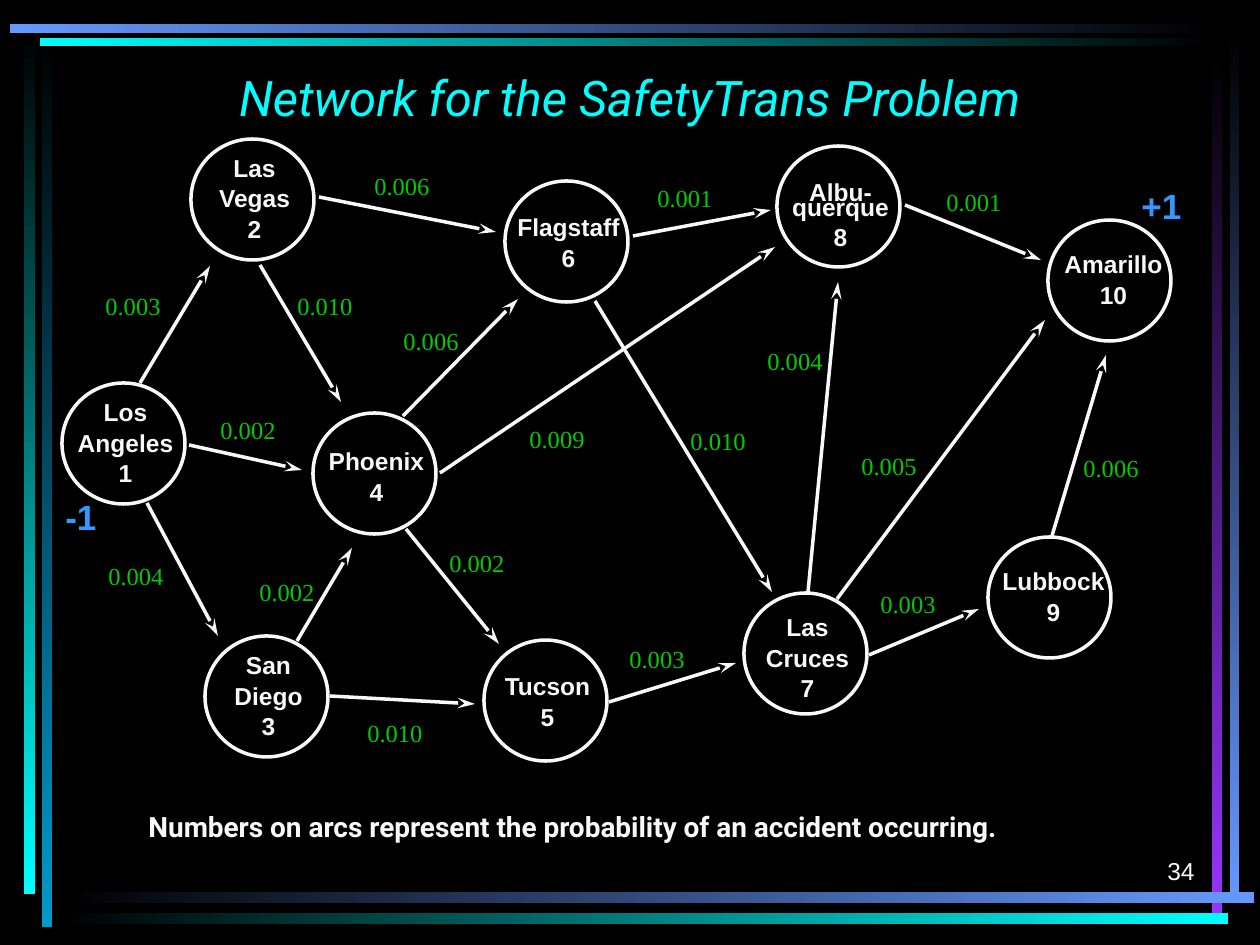
import lxml.etree
import pptx
import pptx.dml.color
import pptx.enum.shapes
import pptx.enum.text
import pptx.oxml.ns
import pptx.util

RGBColor = pptx.dml.color.RGBColor
ALIGN = pptx.enum.text.PP_ALIGN
ANCHOR = pptx.enum.text.MSO_ANCHOR
SHAPE = pptx.enum.shapes.MSO_SHAPE

BLACK = RGBColor(0x00, 0x00, 0x00)
WHITE = RGBColor(0xF8, 0xF8, 0xF8)
CYAN = RGBColor(0x00, 0xFF, 0xFF)
TEAL = RGBColor(0x00, 0x99, 0xCC)
PERIWINKLE = RGBColor(0x66, 0x99, 0xFF)
PURPLE = RGBColor(0x99, 0x33, 0xFF)
GREEN = RGBColor(0x00, 0xCC, 0x00)
BLUE = RGBColor(0x33, 0x99, 0xFF)

PIXELS_PER_INCH = 126
DOWN, RIGHT = 270, 0

FRAME_BARS = [
    (42, 35, 10, 892, BLACK, TEAL, DOWN),
    (24, 32, 11, 862, BLACK, CYAN, DOWN),
    (1230, 30, 9, 873, BLACK, PERIWINKLE, DOWN),
    (1212, 53, 10, 860, BLACK, PURPLE, DOWN),
    (57, 892, 1197, 11, BLACK, PERIWINKLE, RIGHT),
    (57, 913, 1171, 11, BLACK, CYAN, RIGHT),
    (40, 38, 1174, 8, CYAN, BLACK, RIGHT),
    (10, 24, 1205, 9, PERIWINKLE, BLACK, RIGHT),
]

CITIES = [
    (["Las", "Vegas", "2"], (191, 139), (189, 160)),
    (["Los", "Angeles", "1"], (62, 383), (60, 404)),
    (["San", "Diego", "3"], (205, 636), (203, 657)),
    (["Phoenix", "4"], (313, 413), (311, 453)),
    (["Flagstaff", "6"], (505, 181), (503, 219)),
    (["Tucson", "5"], (484, 640), (482, 678)),
    (["Albu-querque", "8"], (777, 146), (775, 184)),
    (["Las", "Cruces", "7"], (744, 593), (742, 619)),
    (["Lubbock", "9"], (988, 537), (988, 573)),
    (["Amarillo", "10"], (1048, 220), (1048, 256)),
]

ARCS = [
    ("0.003", (140, 383), (210, 266), (93, 285)),
    ("0.002", (189, 445), (302, 470), (208, 409)),
    ("0.004", (147, 503), (218, 636), (96, 555)),
    ("0.010", (260, 265), (341, 402), (285, 285)),
    ("0.006", (319, 197), (496, 232), (362, 165)),
    ("0.001", (633, 236), (771, 210), (645, 177)),
    ("0.006", (403, 416), (518, 299), (391, 320)),
    ("0.009", (440, 473), (775, 247), (517, 418)),
    ("0.002", (297, 641), (352, 548), (247, 571)),
    ("0.010", (330, 696), (475, 704), (355, 712)),
    ("0.002", (406, 529), (499, 644), (437, 542)),
    ("0.010", (595, 301), (772, 592), (678, 420)),
    ("0.003", (609, 702), (736, 663), (617, 638)),
    ("0.004", (808, 592), (838, 282), (755, 340)),
    ("0.001", (905, 205), (1041, 260), (934, 181)),
    ("0.005", (837, 599), (1045, 320), (849, 445)),
    ("0.003", (869, 655), (979, 609), (868, 583)),
    ("0.006", (1052, 536), (1106, 355), (1071, 447)),
]


def px(*lengths):
    return [pptx.util.Inches(length / PIXELS_PER_INCH) for length in lengths]


class NetworkSlide:
    line_width = pptx.util.Pt(2)
    node_size = (123, 121)

    def __init__(self, presentation):
        self.slide = presentation.slides.add_slide(presentation.slide_layouts[6])
        fill = self.slide.background.fill
        fill.solid()
        fill.fore_color.rgb = BLACK

    def bar(self, left, top, width, height, start, end, angle):
        shape = self.slide.shapes.add_shape(SHAPE.RECTANGLE, *px(left, top, width, height))
        shape.shadow.inherit = False
        shape.line.fill.background()
        shape.fill.gradient()
        shape.fill.gradient_angle = angle
        for stop, color, position in zip(shape.fill.gradient_stops, (start, end), (0, 1)):
            stop.color.rgb = color
            stop.position = position

    def text(self, lines, box, size, color, font="Arial", bold=False, italic=False,
             align=ALIGN.LEFT, anchor=ANCHOR.TOP, before=0, spacing=1.0):
        frame = self.slide.shapes.add_textbox(*px(*box)).text_frame
        frame.word_wrap = True
        frame.vertical_anchor = anchor
        frame.text = "\n".join(lines)
        for paragraph in frame.paragraphs:
            paragraph.alignment = align
            paragraph.space_before = pptx.util.Pt(before)
            paragraph.line_spacing = spacing
            paragraph.font.name = font
            paragraph.font.size = pptx.util.Pt(size)
            paragraph.font.bold = bold
            paragraph.font.italic = italic
            paragraph.font.color.rgb = color

    def city(self, lines, circle, label):
        shape = self.slide.shapes.add_shape(SHAPE.OVAL, *px(*circle, *self.node_size))
        shape.shadow.inherit = False
        shape.fill.background()
        shape.line.color.rgb = WHITE
        shape.line.width = self.line_width
        self.text(lines, (*label, 131, 30 * len(lines) - 2), 14, WHITE, bold=True,
                  align=ALIGN.CENTER, before=8.8, spacing=0.5)

    def arc(self, start, end):
        connector = self.slide.shapes.add_connector(
            pptx.enum.shapes.MSO_CONNECTOR.STRAIGHT, *px(*start, *end))
        connector.line.color.rgb = WHITE
        connector.line.width = self.line_width
        qn = pptx.oxml.ns.qn
        lxml.etree.SubElement(connector.line._get_or_add_ln(), qn("a:tailEnd"),
                              type="stealth", w="med", len="lg")
        lxml.etree.SubElement(connector._element.spPr, qn("a:effectLst"))

    def probability(self, value, position):
        self.text([value], (*position, 87, 42), 14, GREEN, "Times New Roman", before=8.8)

    def supply(self, value, left, top):
        self.text([value], (left, top, 101, 54), 20, BLUE, bold=True, before=12.5)


def main():
    presentation = pptx.Presentation()
    presentation.slide_width, presentation.slide_height = px(1260, 945)
    network = NetworkSlide(presentation)
    for bar in FRAME_BARS:
        network.bar(*bar)
    network.text(["Network for the SafetyTrans Problem"], (94, 63, 1071, 67), 28, CYAN,
                 "Roboto", italic=True, align=ALIGN.CENTER, anchor=ANCHOR.MIDDLE)
    for city in CITIES:
        network.city(*city)
    for value, start, end, position in ARCS:
        network.arc(start, end)
    for value, start, end, position in ARCS:
        network.probability(value, position)
    network.text(["Numbers on arcs represent the probability of an accident occurring."],
                 (136, 803, 1000, 47), 16, WHITE, "Roboto", bold=True, before=10)
    network.supply("+1", 1129, 178)
    network.supply("-1", 53, 489)
    network.text(["34"], (945, 829, 262, 63), 14, WHITE, align=ALIGN.RIGHT, anchor=ANCHOR.BOTTOM)
    presentation.save("out.pptx")


if __name__ == "__main__":
    main()
